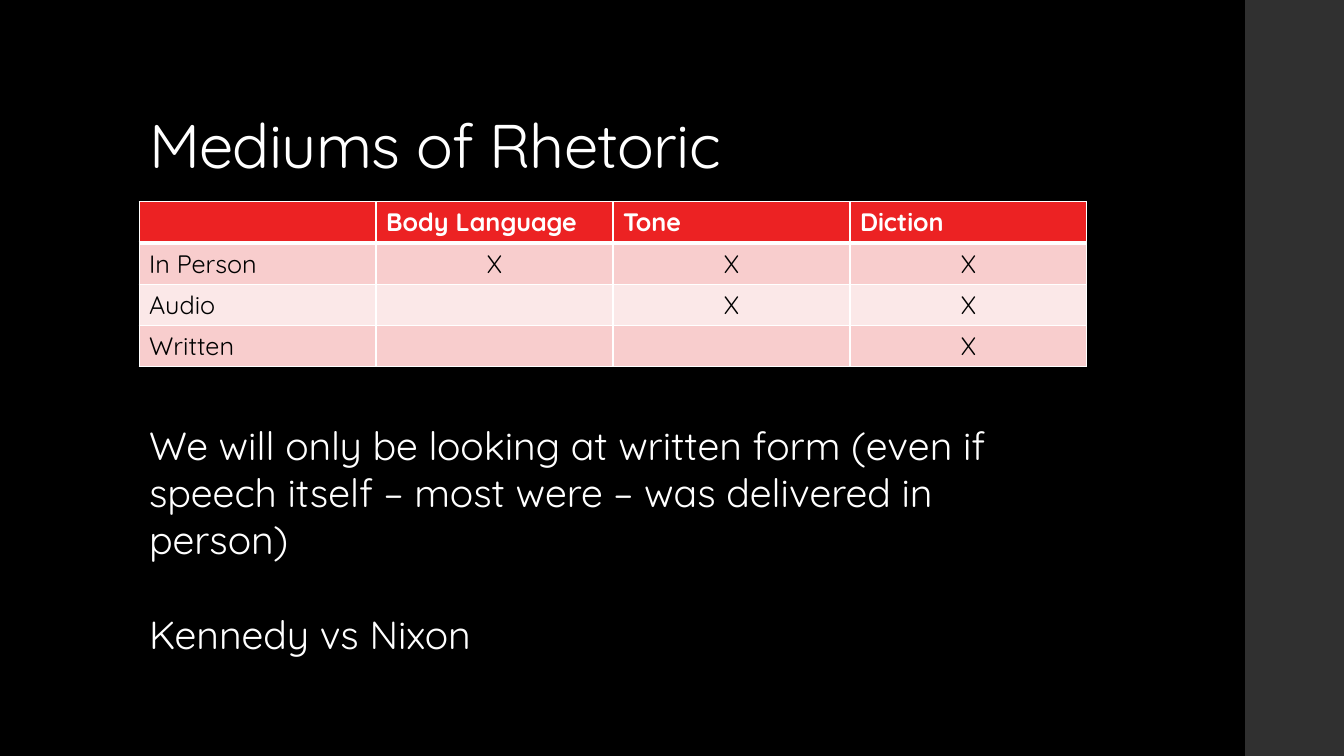
from dataclasses import dataclass

from lxml import etree
from pptx import Presentation
from pptx import util as u
from pptx.dml.color import RGBColor
from pptx.enum import shapes, text
from pptx.oxml import ns

EMU_PER_PX = 9144  # 100 px to the inch
FONT = "Quicksand"
WHITE, BLACK = "FFFFFF", "000000"
SIDE_BAR, HEADER_RED = "303030", "EC2223"
ROW_BANDS = ("F8CDCD", "FBE8E8")


@dataclass
class Box:
    left: int
    top: int
    width: int
    height: int

    def emu(self) -> list[int]:
        return [px(n) for n in (self.left, self.top, self.width, self.height)]


@dataclass
class TextBlock:
    box: Box
    paragraphs: list[str]
    size: int
    anchor: text.MSO_ANCHOR = text.MSO_ANCHOR.TOP
    line_spacing: float = 1.0
    gap: int = 0
    tracking: int = 0  # hundredths of a point


@dataclass
class Medium:
    name: str
    marks: tuple[str, str, str]


def px(n: int) -> int:
    return n * EMU_PER_PX


def colour(value: str) -> RGBColor:
    return RGBColor.from_string(value)


def apply_format(target, values: dict) -> None:
    for name, value in values.items():
        setattr(target, name, value)


def add_run(paragraph, words: str, size: int, hue: str, bold: bool = False):
    run = paragraph.add_run()
    run.text = words
    apply_format(run.font, {"name": FONT, "size": u.Pt(size), "bold": bold})
    run.font.color.rgb = colour(hue)
    return run


def draw_text(slide, block: TextBlock) -> None:
    frame = slide.shapes.add_textbox(*block.box.emu()).text_frame
    apply_format(frame, {"word_wrap": True, "vertical_anchor": block.anchor})
    for i, words in enumerate(block.paragraphs):
        paragraph = frame.add_paragraph() if i else frame.paragraphs[0]
        paragraph.line_spacing = block.line_spacing
        if i:
            paragraph.space_before = u.Pt(block.gap)
        run = add_run(paragraph, words, block.size, WHITE)
        if block.tracking:
            run.font._element.set("spc", str(block.tracking))


def draw_borders(cell, widths: dict[str, int]) -> None:
    properties = cell._tc.get_or_add_tcPr()
    for side, points in widths.items():
        line = etree.SubElement(properties, ns.qn(f"a:ln{side}"), w=str(u.Pt(points)))
        fill = etree.SubElement(line, ns.qn("a:solidFill"))
        etree.SubElement(fill, ns.qn("a:srgbClr"), val=WHITE)


def draw_table(slide, box: Box, header: Medium, mediums: list[Medium]) -> None:
    rows = [header, *mediums]
    column_count = len(header.marks) + 1
    table = slide.shapes.add_table(len(rows), column_count, *box.emu()).table
    for column in table.columns:
        column.width = px(box.width // column_count)
    for r, medium in enumerate(rows):
        table.rows[r].height = px(box.height // len(rows))
        is_header = r == 0
        for c, words in enumerate((medium.name, *medium.marks)):
            cell = table.cell(r, c)
            draw_borders(cell, {"L": 1, "R": 1, "T": 3 if r == 1 else 1,
                                "B": 3 if is_header else 1})
            cell.fill.solid()
            cell.fill.fore_color.rgb = colour(
                HEADER_RED if is_header else ROW_BANDS[(r - 1) % 2])
            if words:
                paragraph = cell.text_frame.paragraphs[0]
                if c and not is_header:
                    paragraph.alignment = text.PP_ALIGN.CENTER
                add_run(paragraph, words, 18, WHITE if is_header else BLACK, is_header)


TITLE = TextBlock(Box(138, 40, 1060, 145), ["Mediums of Rhetoric"], 44,
                  text.MSO_ANCHOR.BOTTOM, line_spacing=0.9, tracking=-50)
NOTE = TextBlock(
    Box(138, 413, 940, 246),
    ["We will only be looking at written form (even if speech itself – "
     "most were – was delivered in person)", "Kennedy vs Nixon"],
    28, gap=34)
HEADER = Medium("", ("Body Language", "Tone", "Diction"))
MEDIUMS = [
    Medium("In Person", ("X", "X", "X")),
    Medium("Audio", ("", "X", "X")),
    Medium("Written", ("", "", "X")),
]


def main() -> None:
    deck = Presentation()
    apply_format(deck, {"slide_width": px(1333), "slide_height": px(750)})
    slide = deck.slides.add_slide(deck.slide_layouts[6])

    # Background and side bar
    slide.background.fill.solid()
    slide.background.fill.fore_color.rgb = colour(BLACK)
    side_bar = slide.shapes.add_shape(shapes.MSO_SHAPE.RECTANGLE,
                                      *Box(1235, 0, 98, 750).emu())
    side_bar.shadow.inherit = False
    side_bar.fill.solid()
    side_bar.fill.fore_color.rgb = colour(SIDE_BAR)
    side_bar.line.fill.background()

    # Title, comparison table and note
    draw_text(slide, TITLE)
    draw_table(slide, Box(138, 200, 940, 164), HEADER, MEDIUMS)
    draw_text(slide, NOTE)

    deck.save("out.pptx")


if __name__ == "__main__":
    main()
